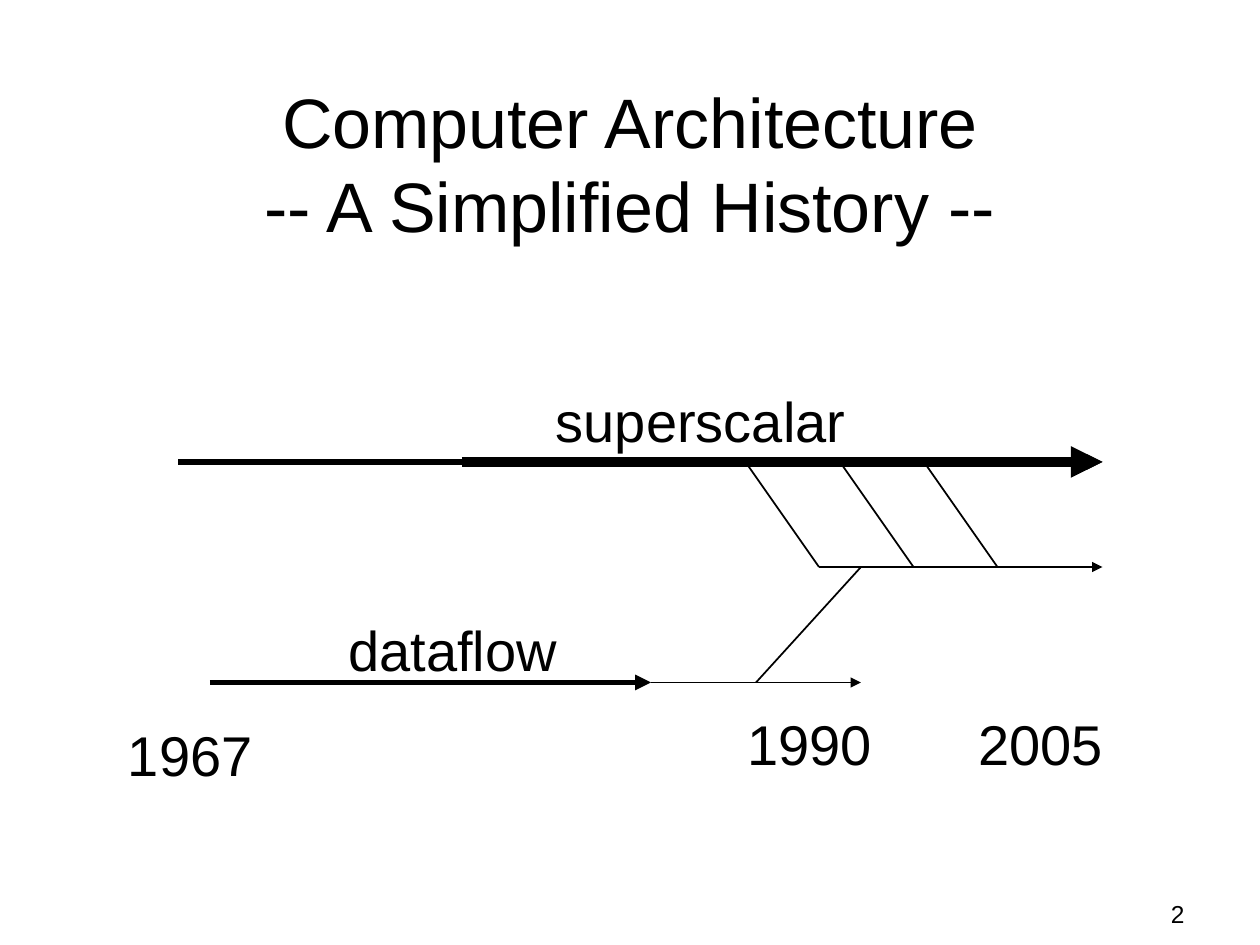
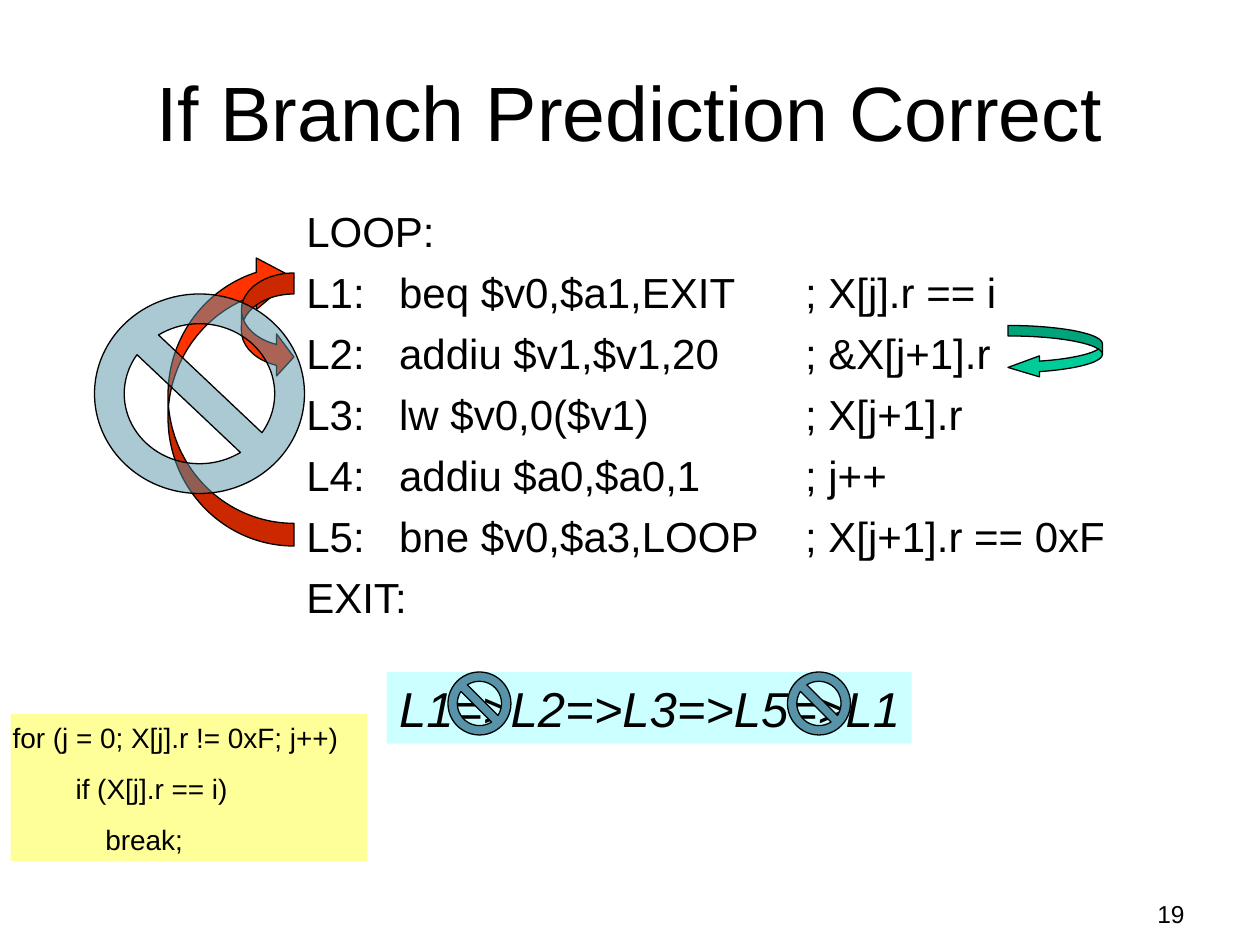
from dataclasses import dataclass

from lxml.etree import SubElement
from pptx import Presentation
from pptx.dml.color import RGBColor
from pptx.enum.shapes import MSO_CONNECTOR, MSO_SHAPE
from pptx.enum.text import MSO_ANCHOR, MSO_AUTO_SIZE, PP_ALIGN
from pptx.oxml.ns import qn
from pptx.util import Pt

# Shared style
BLACK = RGBColor(0x00, 0x00, 0x00)
CYAN = RGBColor(0xCC, 0xFF, 0xFF)
YELLOW = RGBColor(0xFF, 0xFF, 0x99)
GREEN = RGBColor(0x00, 0xCC, 0x99)
RED = RGBColor(0xFF, 0x33, 0x00)
STEEL = RGBColor(0x57, 0x94, 0xA9)
FONT = "Arial"
LEADING = 1.2
TITLE_ONLY = 5


@dataclass(frozen=True)
class Box:
    left: float
    top: float
    width: float
    height: float

    def lengths(self) -> tuple:
        return Pt(self.left), Pt(self.top), Pt(self.width), Pt(self.height)


@dataclass(frozen=True)
class Label:
    text: str
    box: Box


@dataclass(frozen=True)
class Line:
    start: tuple
    end: tuple
    weight: float = 1
    arrow: bool = False


@dataclass(frozen=True)
class Sign:
    kind: MSO_SHAPE
    box: Box
    fill: RGBColor
    adjust: tuple = ()
    turn: float = 0
    edge: bool = True
    alpha: int = 100


def write(frame, lines: list, size: float, align=PP_ALIGN.LEFT, gap: float = 0,
          stops: tuple = (), italic: bool = False) -> None:
    """Fill a text frame, one paragraph per line, with optional tab stops."""
    frame.text = "\n".join(lines)
    for row, para in enumerate(frame.paragraphs):
        para.alignment = align
        para.line_spacing = Pt(size * LEADING)
        para.space_before = Pt(gap if row else 0)
        font = para.font
        font.name, font.size, font.italic = FONT, Pt(size), italic
        font.color.rgb = BLACK
        if stops:
            props = para._p.get_or_add_pPr()
            tabs = SubElement(props, qn("a:tabLst"))
            for stop in stops:
                SubElement(tabs, qn("a:tab"), pos=str(Pt(stop)), algn="l")
            props.insert_element_before(tabs, "a:defRPr")


def add_text(slide, box: Box, lines: list, size: float, wrap: bool = False, **style) -> None:
    frame = slide.shapes.add_textbox(*box.lengths()).text_frame
    frame.word_wrap = wrap
    write(frame, lines, size, **style)


def add_line(slide, line: Line) -> None:
    ends = [Pt(value) for value in line.start + line.end]
    link = slide.shapes.add_connector(MSO_CONNECTOR.STRAIGHT, *ends)
    link.line.color.rgb = BLACK
    link.line.width = Pt(line.weight)
    if line.arrow:
        SubElement(link.line._get_or_add_ln(), qn("a:tailEnd"), type="triangle")
    SubElement(link._element.spPr, qn("a:effectLst"))


def add_sign(slide, sign: Sign):
    shape = slide.shapes.add_shape(sign.kind, *sign.box.lengths())
    shape.shadow.inherit = False
    shape.rotation = sign.turn
    for index, value in enumerate(sign.adjust):
        shape.adjustments[index] = value
    shape.fill.solid()
    shape.fill.fore_color.rgb = sign.fill
    if sign.alpha < 100:
        shade = shape._element.spPr.find(qn("a:solidFill"))[0]
        SubElement(shade, qn("a:alpha"), val=str(sign.alpha * 1000))
    if sign.edge:
        shape.line.color.rgb = BLACK
        shape.line.width = Pt(0.75)
    else:
        shape.line.fill.background()
    return shape


def add_panel(slide, box: Box, fill: RGBColor, lines: list, size: float,
              inset: float, **style) -> None:
    shape = add_sign(slide, Sign(MSO_SHAPE.RECTANGLE, box, fill, edge=False))
    frame = shape.text_frame
    frame.word_wrap = False
    frame.vertical_anchor = MSO_ANCHOR.TOP
    frame.margin_left, frame.margin_right = Pt(inset), Pt(0)
    write(frame, lines, size, **style)


def add_slide(deck, title: str, top: float, size: float, page: int):
    """Start a slide with its title and page number."""
    slide = deck.slides.add_slide(deck.slide_layouts[TITLE_ONLY])
    head = slide.shapes.title
    head.left, head.top, head.width, head.height = Box(54, top, 612, 90).lengths()
    frame = head.text_frame
    frame.auto_size = MSO_AUTO_SIZE.NONE
    frame.vertical_anchor = MSO_ANCHOR.MIDDLE
    write(frame, [title], size, PP_ALIGN.CENTER)
    add_text(slide, Box(648, 510, 36, 30), [str(page)], 14, wrap=True,
             align=PP_ALIGN.RIGHT)
    return slide


def draw_past(deck) -> None:
    slide = add_slide(deck, "Computer Architecture\v-- A Simplified History --", 48, 40, 2)
    upper, middle, lower, right = 264, 324, 390, 630

    # Labels and years
    labels = [
        Label("superscalar", Box(310.5, 217.5, 184, 46)),
        Label("dataflow", Box(192, 348, 140, 46)),
        Label("1967", Box(66, 408, 90, 46)),
        Label("1990", Box(420, 402, 90, 46)),
        Label("2005", Box(552, 402, 90, 46)),
    ]
    for label in labels:
        add_text(slide, label.box, [label.text], 32)

    # Time lines, then the links between them
    lines = [
        Line((102, upper), (right, upper), 3, True),
        Line((264, upper), (right, upper), 6, True),
        Line((468, middle), (right, middle), 1, True),
        Line((120, lower), (372, lower), 3, True),
        Line((372, lower), (492, lower), 1, True),
        Line((432, lower), (492, middle)),
    ]
    lines += [Line((x, upper), (x + 42, middle)) for x in (426, 480, 528)]
    for line in lines:
        add_line(slide, line)


def draw_branch(deck) -> None:
    slide = add_slide(deck, "If Branch Prediction Correct", 18, 44, 19)

    # Trace of the labels run, with two jumps struck out
    add_panel(slide, Box(221, 384, 300, 41), CYAN, ["L1=>L2=>L3=>L5=>L1"], 28, 7.2,
              italic=True)
    for left in (256, 450):
        add_sign(slide, Sign(MSO_SHAPE.NO_SYMBOL, Box(left, 384, 36, 36), STEEL, (0.149,)))

    # Source loop
    source = ["for (j = 0; X[j].r != 0xF; j++)", "\tif (X[j].r == i)", "\t\tbreak;"]
    add_panel(slide, Box(6, 408, 204, 84), YELLOW, source, 16, 1.2, gap=10, stops=(36, 53))

    # Machine code in three columns
    code = [
        "LOOP:",
        "L1:\tbeq $v0,$a1,EXIT\t; X[j].r == i",
        "L2:\taddiu $v1,$v1,20\t; &X[j+1].r",
        "L3:\tlw $v0,0($v1)\t; X[j+1].r",
        "L4:\taddiu $a0,$a0,1\t; j++",
        "L5:\tbne $v0,$a3,LOOP\t; X[j+1].r == 0xF",
        "EXIT:",
    ]
    add_text(slide, Box(168, 114, 534, 246), code, 24, wrap=True, gap=6, stops=(53, 285))

    # Jump arrows, with the backward ones struck out
    left_arrow, right_arrow = MSO_SHAPE.CURVED_LEFT_ARROW, MSO_SHAPE.CURVED_RIGHT_ARROW
    signs = [
        Sign(left_arrow, Box(576, 186, 54, 30), GREEN, (0.2, 0.4, 0.6)),
        Sign(left_arrow, Box(96, 144, 72, 168), RED, (0.18, 0.41, 0.3), turn=180),
        Sign(right_arrow, Box(138, 156, 30, 60), RED, (0.4, 0.8, 0.33)),
        Sign(MSO_SHAPE.NO_SYMBOL, Box(54, 168, 120, 114), STEEL, (0.149,), alpha=50),
    ]
    for sign in signs:
        add_sign(slide, sign)


def main() -> None:
    deck = Presentation()
    deck.slide_width, deck.slide_height = Pt(720), Pt(540)
    draw_past(deck)
    draw_branch(deck)
    deck.save("out.pptx")


if __name__ == "__main__":
    main()
